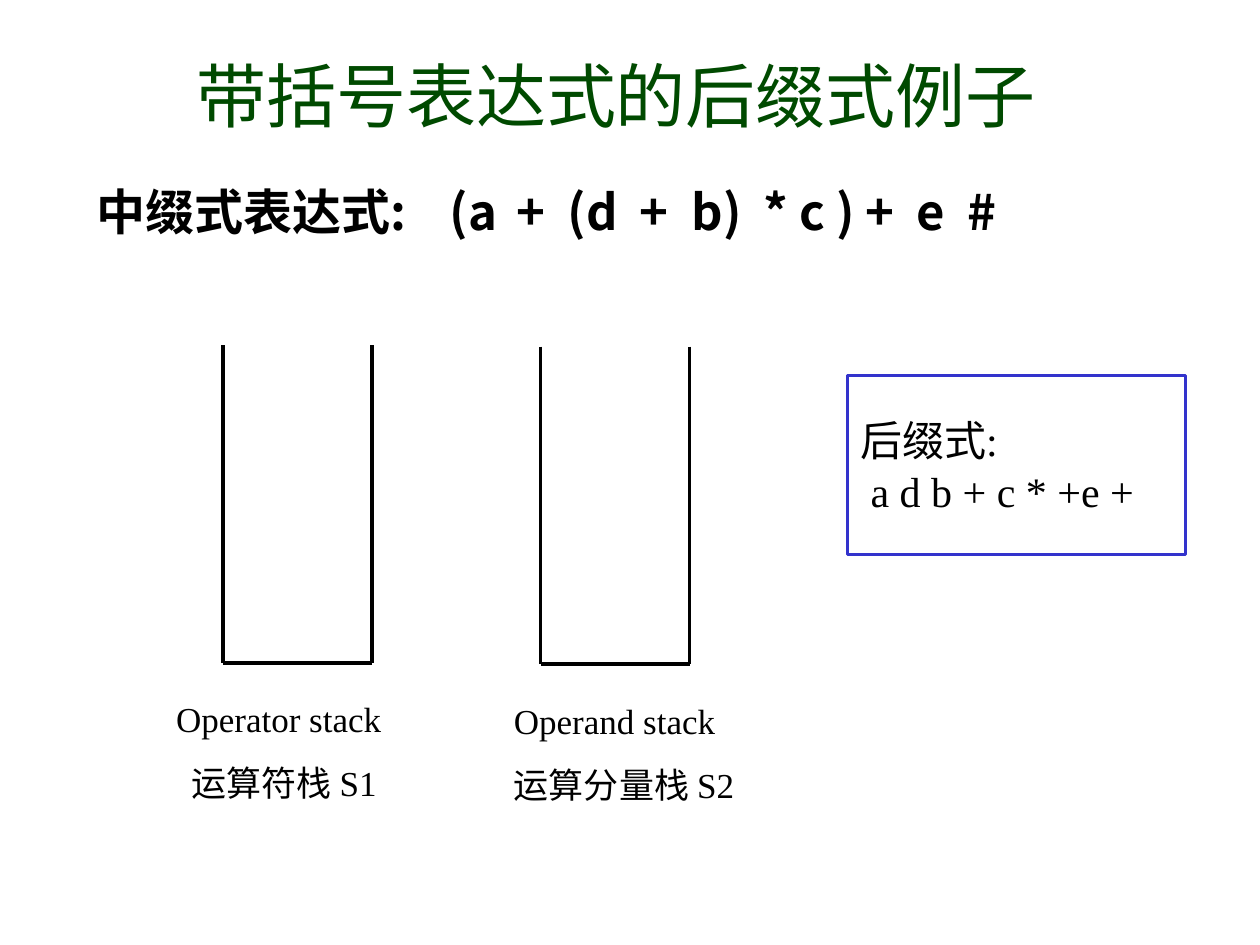
from dataclasses import dataclass

from lxml.etree import SubElement
from pptx import Presentation
from pptx.dml.color import RGBColor
from pptx.enum.shapes import MSO_CONNECTOR, MSO_SHAPE
from pptx.enum.text import MSO_ANCHOR, PP_ALIGN
from pptx.oxml.ns import qn
from pptx.util import Cm, Pt

GREEN = RGBColor(0x00, 0x4A, 0x00)
BLACK = RGBColor(0x00, 0x00, 0x00)
BLUE = RGBColor(0x33, 0x33, 0xCC)
SANS = "Noto Sans CJK KR"
SERIF = "Times New Roman"
WIDE, TALL = 3.0, 6.4
STOPS = (7.12, 8.46, 9.5, 10.95, 12.0, 13.44, 16.53, 17.55)


@dataclass
class Stack:
    """Place and labels of one open stack."""
    left: float
    top: float
    label: tuple
    lines: tuple
    indent: float = 0


STACKS = (
    Stack(4.5, 6.96, (3.3, 13.94, 5.61, 2.39), ("Operator stack", "运算符栈 S1"), 0.31),
    Stack(10.9, 6.99, (10.11, 13.97, 5.21, 2.39), ("Operand stack", "运算分量栈 S2")),
)


def write(shape, *lines: str, size: float, font: str = SERIF, color=BLACK,
          bold: bool = False, anchor=MSO_ANCHOR.TOP, gap: float = 0,
          indent: float = 0, stops: tuple = ()) -> None:
    """Fill a shape with formatted paragraphs."""
    frame = shape.text_frame
    frame.word_wrap = True
    frame.vertical_anchor = anchor
    for num, line in enumerate(lines):
        para = frame.paragraphs[0] if num == 0 else frame.add_paragraph()
        para.alignment = PP_ALIGN.LEFT
        props = para._p.get_or_add_pPr()
        if num:
            para.space_before = Pt(gap)
            props.set("marL", str(Cm(indent)))
        if stops:
            tabs = SubElement(props, qn("a:tabLst"))
            for stop in stops:
                SubElement(tabs, qn("a:tab"), pos=str(Cm(stop)), algn="l")
        run = para.add_run()
        run.text = line
        run.font.size = Pt(size)
        run.font.name = font
        run.font.bold = bold
        run.font.color.rgb = color
        SubElement(run._r.get_or_add_rPr(), qn("a:ea"), typeface=SANS)


def box(slide, place: tuple):
    """Add an empty text box."""
    return slide.shapes.add_textbox(*map(Cm, place))


def draw(slide, stack: Stack) -> None:
    """Draw the three sides of a stack and its label."""
    group = slide.shapes.add_group_shape()
    right, base = stack.left + WIDE, stack.top + TALL
    sides = ((stack.left, stack.top, stack.left, base),
             (stack.left, base, right, base),
             (right, stack.top, right, base))
    for side in sides:
        line = group.shapes.add_connector(MSO_CONNECTOR.STRAIGHT, *map(Cm, side))
        line.line.color.rgb = BLACK
        line.line.width = Pt(2)
        SubElement(line._element.spPr, qn("a:effectLst"))
    write(box(slide, stack.label), *stack.lines, size=20, gap=12.5,
          indent=stack.indent)


def main() -> None:
    """Build and save the slide."""
    deck = Presentation()
    deck.slide_width, deck.slide_height = Cm(25.4), Cm(19.05)
    slide = deck.slides.add_slide(deck.slide_layouts[6])
    write(box(slide, (3.71, 0.89, 20.5, 2.03)), "带括号表达式的后缀式例子",
          size=40, font=SANS, color=GREEN, anchor=MSO_ANCHOR.MIDDLE)
    write(box(slide, (1.7, 3.53, 21.0, 1.8)),
          "中缀式表达式:\t(a\t+\t(d\t+\tb)\t* c ) +\te\t#",
          size=28, font=SANS, bold=True, stops=STOPS)
    for stack in STACKS:
        draw(slide, stack)
    result = slide.shapes.add_shape(MSO_SHAPE.RECTANGLE, Cm(17.09), Cm(7.57),
                                    Cm(6.81), Cm(3.61))
    result.shadow.inherit = False
    result.fill.background()
    result.line.color.rgb = BLUE
    result.line.width = Pt(2)
    write(result, "后缀式:", "a d b + c * +e +", size=24,
          anchor=MSO_ANCHOR.MIDDLE, indent=0.21)
    deck.save("out.pptx")


if __name__ == "__main__":
    main()
